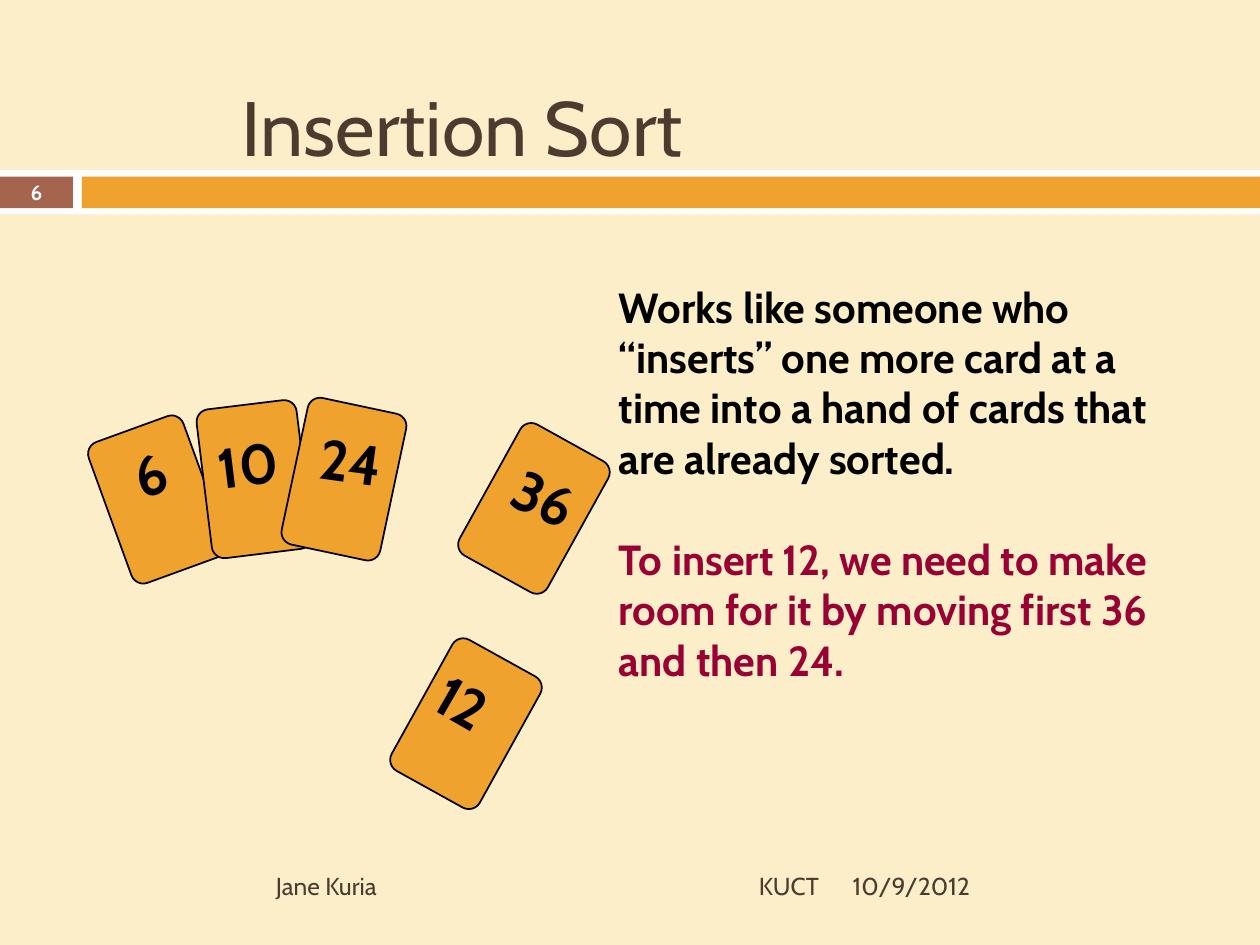
from dataclasses import dataclass

from lxml import etree
from pptx import Presentation
from pptx.dml.color import RGBColor
from pptx.enum.shapes import MSO_SHAPE
from pptx.enum.text import MSO_ANCHOR, MSO_AUTO_SIZE, PP_ALIGN
from pptx.oxml.ns import qn
from pptx.util import Cm, Pt

RECT, ROUNDED = MSO_SHAPE.RECTANGLE, MSO_SHAPE.ROUNDED_RECTANGLE
LEFT, CENTER, RIGHT = PP_ALIGN.LEFT, PP_ALIGN.CENTER, PP_ALIGN.RIGHT
TOP, MIDDLE, BOTTOM = MSO_ANCHOR.TOP, MSO_ANCHOR.MIDDLE, MSO_ANCHOR.BOTTOM
NO_FIT, GROW = MSO_AUTO_SIZE.NONE, MSO_AUTO_SIZE.SHAPE_TO_FIT_TEXT

FONT = "Cabin"
COLORS = {
    "cream": "FBEEC9", "white": "FFFFFF", "black": "000000",
    "orange": "F0A22E", "rust": "A5644E", "brown": "4E3B30",
    "crimson": "990033",
}
SLIDE_W, SLIDE_H = 25.4, 19.05
CARD_W, CARD_H = 2.03, 3.02
DIGIT_W, LABEL_PAD, LABEL_H = 0.64, 0.5, 1.6
FOOTER_Y, FOOTER_H = 17.35, 1.02


@dataclass
class Bar:
    left: float
    top: float
    width: float
    height: float
    color: str


@dataclass
class Card:
    number: str
    left: float
    top: float
    angle: float
    label_left: float
    label_top: float
    label_angle: float


@dataclass
class Footer:
    text: str
    left: float
    width: float
    align: PP_ALIGN


BARS = [
    Bar(0, 3.43, SLIDE_W, 0.89, "white"),
    Bar(0, 3.56, 1.47, 0.64, "rust"),
    Bar(1.65, 3.56, SLIDE_W - 1.65, 0.64, "orange"),
]
CARDS = [
    Card("6", 2.16, 8.56, 340, 2.46, 8.74, 341),
    Card("10", 4.11, 8.15, 353, 4.14, 8.53, 353),
    Card("24", 5.92, 8.15, 12, 6.2, 8.48, 8),
    Card("36", 9.75, 8.74, 29, 10.11, 9.22, 25),
    Card("12", 8.38, 13.08, 29, 8.56, 13.41, 30),
]
FOOTERS = [
    Footer("Jane Kuria", 5.31, 5, LEFT),
    Footer("KUCT", 12.76, 4, RIGHT),
    Footer("10/9/2012", 16.94, 7.42, LEFT),
]


def rgb(name: str) -> RGBColor:
    return RGBColor.from_string(COLORS[name])


def write(sp, text: str, *, size: float, color: str = "black", bold: bool = False,
          align: PP_ALIGN = LEFT, anchor: MSO_ANCHOR = TOP, wrap: bool = True,
          fit: MSO_AUTO_SIZE = NO_FIT, before: float = 0):
    """Add one formatted paragraph to a shape and return it."""
    tf = sp.text_frame
    p = tf.add_paragraph() if tf.text else tf.paragraphs[0]
    tf.word_wrap, tf.auto_size, tf.vertical_anchor = wrap, fit, anchor
    p.alignment, p.space_before = align, Pt(before)
    r = p.add_run()
    r.text = text
    r.font.name, r.font.size, r.font.bold = FONT, Pt(size), bold
    r.font.color.rgb = rgb(color)
    return p


def remove_bullet(p) -> None:
    pPr = p._p.get_or_add_pPr()
    pPr.set("marL", "0")
    pPr.set("indent", "0")
    etree.SubElement(pPr, qn("a:buNone"))


def place(sp, left: float, top: float, width: float, height: float) -> None:
    sp.left, sp.top, sp.width, sp.height = Cm(left), Cm(top), Cm(width), Cm(height)


def add_box(s, left: float, top: float, width: float, height: float):
    return s.shapes.add_textbox(Cm(left), Cm(top), Cm(width), Cm(height))


def add_filled(s, kind: MSO_SHAPE, left: float, top: float, width: float,
               height: float, color: str):
    sp = s.shapes.add_shape(kind, Cm(left), Cm(top), Cm(width), Cm(height))
    sp.shadow.inherit = False
    sp.fill.solid()
    sp.fill.fore_color.rgb = rgb(color)
    sp.line.fill.background()
    return sp


def draw_card(s, card: Card) -> None:
    sp = add_filled(s, ROUNDED, card.left, card.top, CARD_W, CARD_H, "orange")
    sp.adjustments[0] = 0.125
    sp.rotation = card.angle
    sp.line.color.rgb = rgb("black")
    sp.line.width = Pt(1)
    width = LABEL_PAD + DIGIT_W * len(card.number)
    label = add_box(s, card.label_left, card.label_top, width, LABEL_H)
    label.rotation = card.label_angle
    write(label, card.number, size=32, bold=True, wrap=False, fit=GROW)


def main() -> None:
    prs = Presentation()
    prs.slide_width, prs.slide_height = Cm(SLIDE_W), Cm(SLIDE_H)
    s = prs.slides.add_slide(prs.slide_layouts[1])
    s.background.fill.solid()
    s.background.fill.fore_color.rgb = rgb("cream")

    # Title and explanation
    title, body = s.shapes.title, s.placeholders[1]
    place(title, 4.62, 0.41, 16.36, 3.18)
    write(title, "Insertion Sort", size=44, color="brown", anchor=BOTTOM)
    place(body, 12.22, 5.54, 11.84, 8.38)
    remove_bullet(write(
        body, "Works like someone who “inserts” one more card at a time "
        "into a hand of cards that are already sorted.", size=24, bold=True))
    remove_bullet(write(
        body, "To insert 12, we need to make room for it by moving first 36 "
        "and then 24.", size=24, bold=True, color="crimson", before=29))

    # Band with the slide number
    for bar in BARS:
        add_filled(s, RECT, bar.left, bar.top, bar.width, bar.height, bar.color)
    number = add_box(s, 0, 3.53, 1.47, 0.69)
    write(number, "6", size=11.9, color="white", bold=True, align=CENTER, anchor=MIDDLE)

    # Playing cards
    for card in CARDS:
        draw_card(s, card)

    # Footer
    for f in FOOTERS:
        sp = add_box(s, f.left, FOOTER_Y, f.width, FOOTER_H)
        write(sp, f.text, size=14, color="brown", align=f.align, anchor=MIDDLE)

    prs.save("out.pptx")


if __name__ == "__main__":
    main()
